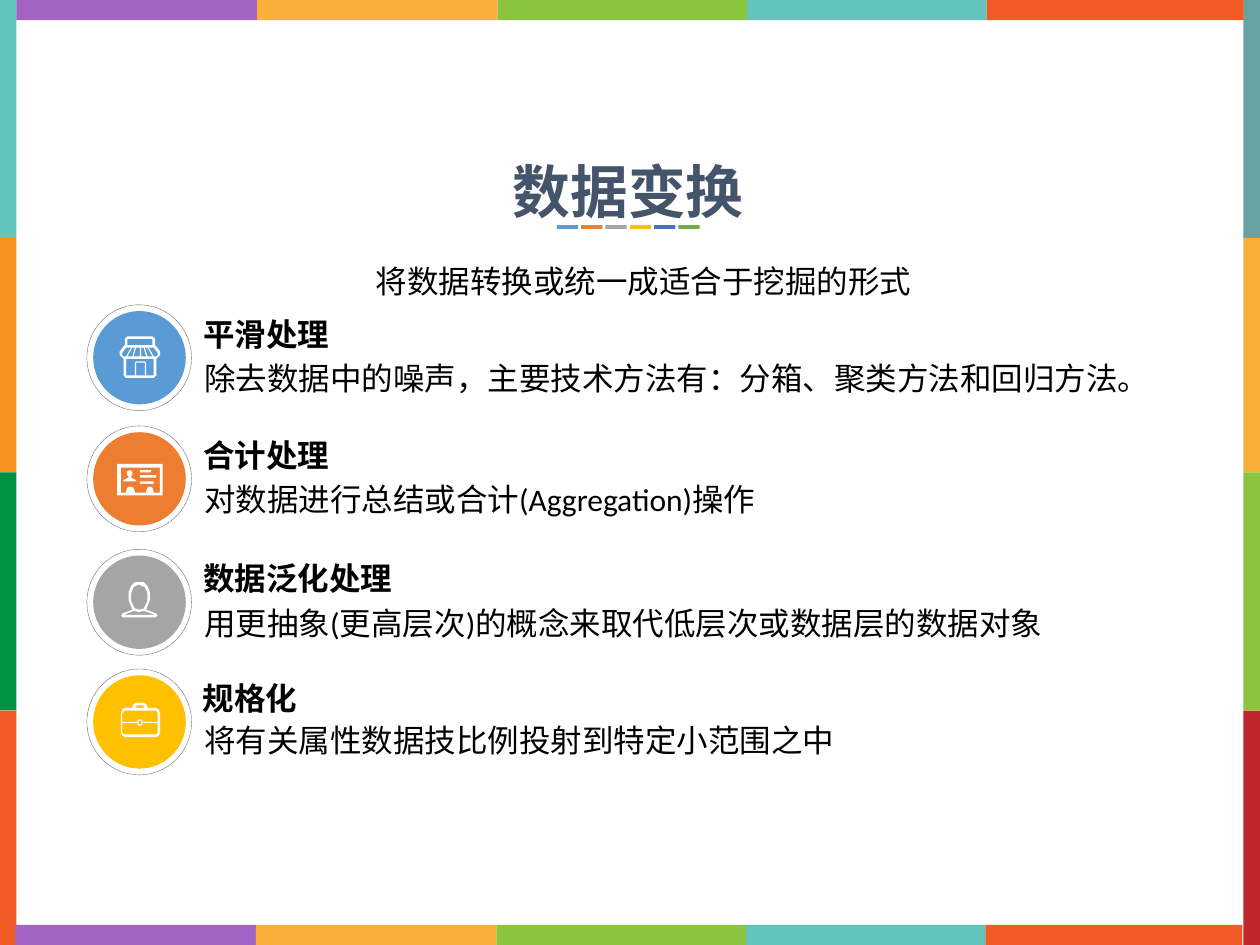
"""Build the slide on the steps of data transformation."""
import itertools

import pptx
import pptx.dml.color
import pptx.enum.dml
import pptx.enum.shapes
import pptx.enum.text
import pptx.util

Pt = pptx.util.Pt
FORMS = pptx.enum.shapes.MSO_SHAPE
ALIGN = pptx.enum.text.PP_ALIGN

SIDE_Y = [0, 136, 270, 406, 540]
LEFT = ["62C4BC", "F6921E", "009145", "F05A24"]
RIGHT = ["67A1A0", "FAAF3B", "8BC53F", "C0272D"]
BAND_X = [9.4, 146.9, 284.4, 427, 563.8, 710.6]
BAND = ["A362C4", "FAAF3B", "8BC53F", "62C4BC", "F05A24"]
ACCENTS = ["5B9BD5", "ED7D31", "A5A5A5", "FFC000", "4472C4", "70AD47"]

SHOP = [[
    [(58, 37), (55, 33), (54, 32), (54, 27), (52, 25), (32, 25), (30, 27), (30, 32), (29, 33),
     (26, 37), (26, 40), (29, 43), (29, 56), (31, 58), (53, 58), (55, 56), (55, 43), (58, 40)],
    [(32, 27), (52, 27), (52, 32), (32, 32)],
    [(36, 41), (32, 41), (36, 34), (38, 34)],
    [(39, 34), (42, 34), (42, 41), (37, 41)],
    [(43, 34), (45, 34), (47, 41), (43, 41)],
    [(46, 34), (48, 34), (52, 41), (48, 41)],
    [(28, 40), (28, 38), (31, 34), (35, 34), (31, 41), (29, 41)],
    [(56, 40), (55, 41), (53, 41), (49, 34), (53, 34), (56, 38)],
    [(46, 56), (39, 56), (39, 46), (46, 46)],
    [(53, 56), (47, 56), (47, 46), (46, 45), (39, 45), (38, 46), (38, 56), (31, 56),
     (31, 43), (53, 43)],
]]
CARD = [
    [[(39, 44), (39, 43), (37, 42), (35, 41), (35, 40), (36, 39), (36, 36), (34, 35),
      (32, 36), (32, 39), (33, 40), (33, 41), (31, 42), (29, 43), (29, 44)]],
    [[(24, 30), (60, 30), (60, 55), (24, 55)],
     [(27, 33), (58, 33), (58, 53), (53, 53), (53, 52), (52, 49), (50, 48), (48, 49),
      (47, 52), (47, 53), (38, 53), (38, 52), (37, 49), (34, 48), (32, 49), (31, 52),
      (31, 53), (27, 53)]],
]
CARD_BARS = [(30.2, 25.2, 6.5), (30.2, 28.1, 9.4), (30.2, 31.7, 7.9)]
USER = [[
    [(55, 51), (47, 48), (50, 40), (50, 34), (48, 29), (45, 26.5), (41, 26), (38, 26.5),
     (35, 29), (33, 34), (33, 40), (36, 48), (28, 51), (27, 53), (29, 54), (54, 54), (56, 53)],
    [(45, 47), (42, 48.5), (38, 47), (35, 41), (35, 35), (37, 30), (41, 28), (46, 30),
     (48, 35), (48, 41)],
    [(29, 52), (37, 49), (39, 49), (41, 50), (44, 49), (46, 49), (54, 52)],
]]
CASE = [[
    [(55, 31), (48, 31), (48, 30), (47, 28), (45, 27), (39, 27), (37, 28), (36, 30), (36, 31),
     (30, 31), (28, 32), (27, 35), (27, 51), (28, 53), (30, 54), (55, 54), (57, 53),
     (58, 51), (58, 35), (57, 32)],
    [(39, 30), (39, 29), (45, 29), (45, 31), (39, 31)],
    [(30, 33), (55, 33), (56, 35), (56, 42), (44, 42), (44, 41), (43, 40), (41, 40),
     (40, 41), (40, 42), (28, 42), (28, 35)],
    [(41, 41), (43, 41), (43, 44), (41, 44)],
    [(55, 52), (30, 52), (28, 51), (28, 43), (40, 43), (40, 44), (41, 45), (43, 45),
     (44, 44), (44, 43), (56, 43), (56, 51)],
]]

STEPS = [
    (174.2, "平滑处理", "Calibri", "除去数据中的噪声，主要技术方法有：分箱、聚类方法和回归方法。", 26, SHOP, []),
    (243.4, "合计处理", "Calibri", "对数据进行总结或合计(Aggregation)操作", 26, CARD, CARD_BARS),
    (313.9, "数据泛化处理", "Calibri", "用更抽象(更高层次)的概念来取代低层次或数据层的数据对象", 26, USER, []),
    (382.3, "规格化", "Lato", "将有关属性数据技比例投射到特定小范围之中", 24.5, CASE, []),
]


def tint(hue):
    """Turn a hex string into a colour."""
    return pptx.dml.color.RGBColor.from_string(hue)


def paint(shape, hue):
    """Give a shape a flat fill with no line or shadow."""
    shape.shadow.inherit = False
    shape.fill.solid()
    shape.fill.fore_color.rgb = tint(hue)
    shape.line.fill.background()


def block(slide, x, y, w, h, hue, form=FORMS.RECTANGLE):
    """Add a filled preset shape."""
    shape = slide.shapes.add_shape(form, Pt(x), Pt(y), Pt(w), Pt(h))
    paint(shape, hue)
    return shape


def ring(slide, x, y, w, h):
    """Add a thin dashed circle."""
    shape = block(slide, x, y, w, h, "FFFFFF", FORMS.OVAL)
    shape.fill.background()
    shape.line.color.rgb = tint("666666")
    shape.line.width = Pt(0.25)
    shape.line.dash_style = pptx.enum.dml.MSO_LINE.SQUARE_DOT


def icon(slide, x, y, loops):
    """Add a white outline whose inner loops are holes."""
    first, *rest = loops
    pen = slide.shapes.build_freeform(*first[0], scale=Pt(0.72))
    pen.add_line_segments(first[1:], close=True)
    for loop in rest:
        pen.move_to(*loop[0])
        pen.add_line_segments(loop[1:], close=True)
    paint(pen.convert_to_shape(Pt(x), Pt(y)), "FFFFFF")


def label(slide, x, y, w, h, words, font="Calibri", size=18, hue="000000", bold=False,
          align=ALIGN.LEFT, pad=(5.8, 2.9), wrap=True, space=None):
    """Add a text box holding one run."""
    frame = slide.shapes.add_textbox(Pt(x), Pt(y), Pt(w), Pt(h)).text_frame
    frame.margin_left = frame.margin_right = Pt(pad[0])
    frame.margin_top = frame.margin_bottom = Pt(pad[1])
    frame.word_wrap = wrap
    frame.auto_size = pptx.enum.text.MSO_AUTO_SIZE.SHAPE_TO_FIT_TEXT
    para = frame.paragraphs[0]
    para.alignment = align
    para.line_spacing = space
    run = para.add_run()
    run.text = words
    run.font.name = font
    run.font.size = Pt(size)
    run.font.bold = bold
    run.font.color.rgb = tint(hue)


def border(slide):
    """Add the coloured bands around the slide."""
    for x, hues in ((0, LEFT), (710.6, RIGHT)):
        for (top, end), hue in zip(itertools.pairwise(SIDE_Y), hues):
            block(slide, x, top, 9.4, end - top, hue)
    for y, shift in ((0, 0), (528.5, -0.7)):
        for (start, end), hue in zip(itertools.pairwise(BAND_X), BAND):
            block(slide, start + shift, y, end - start, 11.5, hue)


def header(slide):
    """Add the title, its row of dashes and the summary."""
    label(slide, 49.7, 85.7, 618.5, 47.5, "数据变换", "Lato", 33, "44546A", True,
          ALIGN.CENTER, (7.2, 3.6))
    for i, hue in enumerate(ACCENTS):
        block(slide, 318.2 + 13.9 * i, 128.7, 12.2, 2.2, hue)
    label(slide, 183.6 + 24, 146.2, 386 - 24, 29, "将数据转换或统一成适合于挖掘的形式",
          pad=(7.2, 3.6))


def step(slide, hue, top, name, font, words, drop, shapes, bars):
    """Add one step: badge, icon, heading and text."""
    left = 49.7
    block(slide, left + 3.6, top + 3.6, 52.9, 53.3, hue, FORMS.OVAL)
    ring(slide, left, top, 59.8, 60.5)
    label(slide, 110.2, top + 2.9, 21 + 18 * len(name) - 9, 27.4, name, font, bold=True, wrap=False)
    label(slide, 110.9, top + drop, 564.5, 29.5, words, space=1.1)
    for loops in shapes:
        icon(slide, left, top, loops)
    for x, y, w in bars:
        block(slide, left + x, top + y, w, 1.4, "FFFFFF")


def main():
    """Build and save the slide."""
    deck = pptx.Presentation()
    deck.slide_width, deck.slide_height = Pt(720), Pt(540)
    slide = deck.slides.add_slide(deck.slide_layouts[6])
    border(slide)
    header(slide)
    for hue, parts in zip(ACCENTS, STEPS):
        step(slide, hue, *parts)
    deck.save("out.pptx")


if __name__ == "__main__":
    main()
